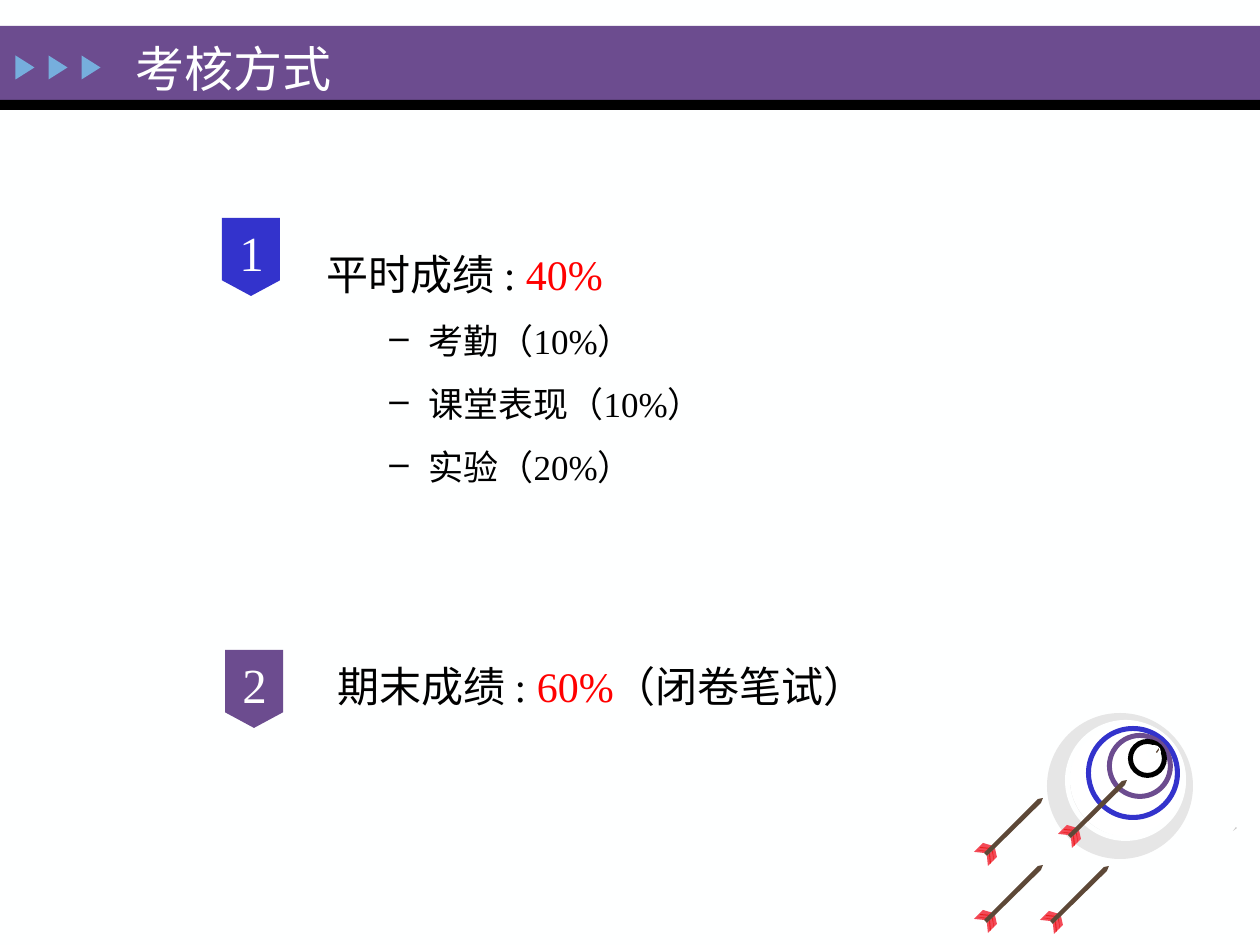
"""Build the course assessment slide: two scored parts and a target with arrows."""
from lxml import etree
from pptx import Presentation
from pptx.dml.color import RGBColor
from pptx.enum.shapes import MSO_SHAPE
from pptx.enum.text import MSO_ANCHOR, PP_ALIGN
from pptx.oxml.ns import qn
from pptx.util import Inches, Pt

RECT, TRIANGLE = MSO_SHAPE.RECTANGLE, MSO_SHAPE.ISOSCELES_TRIANGLE
OVAL, RING = MSO_SHAPE.OVAL, MSO_SHAPE.DONUT
BADGE = MSO_SHAPE.FLOWCHART_OFFPAGE_CONNECTOR
MIDDLE, CENTER = MSO_ANCHOR.MIDDLE, PP_ALIGN.CENTER

PX = 7257
WHITE, BLACK, RED = "FEFFFF", "000000", "FF0000"
PURPLE, BLUE, SKY = "6C4C8F", "3333CC", "76AEDD"
FEATHER, BARB, WOOD = "F34A57", "EA1E1D", "5D4837"


def paint(target, color):
    target.fill.solid()
    target.fill.fore_color.rgb = RGBColor.from_string(color)


def write(paragraph, text, size=24, color=BLACK, spacing=None):
    run = paragraph.add_run()
    run.text = text
    run.font.size = Pt(size)
    run.font.name = "Times New Roman"
    paint(run.font, color)
    if spacing:
        paragraph.line_spacing = spacing


prs = Presentation()
prs.slide_width, prs.slide_height = Inches(10), Inches(7.5)
slide = prs.slides.add_slide(prs.slide_layouts[6])
shapes = slide.shapes
paint(slide.background, WHITE)

for top, height, color in [(26, 75, PURPLE), (100, 10, BLACK)]:
    band = shapes.add_shape(RECT, 0, top * PX, prs.slide_width, height * PX)
    paint(band, color)

for i in range(3):
    marker = shapes.add_shape(TRIANGLE, (13 + 33 * i) * PX, 58 * PX, 24 * PX, 19 * PX)
    marker.rotation = 90
    paint(marker, SKY)

title = shapes.add_textbox(123 * PX, 20 * PX, 882 * PX, 95 * PX).text_frame
title.word_wrap = True
title.vertical_anchor = MIDDLE
write(title.paragraphs[0], "考核方式", size=28, color=WHITE)

coursework = shapes.add_textbox(314 * PX, 217 * PX, 721 * PX, 388 * PX).text_frame
coursework.word_wrap = True
heading = coursework.paragraphs[0]
write(heading, "平时成绩 : ", spacing=1.5)
write(heading, "40%", color=RED)
for item in ["考勤（10%）", "课堂表现（10%）", "实验（20%）"]:
    entry = coursework.add_paragraph()
    entry.level = 1
    props = entry._p.get_or_add_pPr()
    props.set("marL", str(102 * PX))
    props.set("indent", str(-39 * PX))
    etree.SubElement(props, qn("a:buChar")).set("char", "–")
    write(entry, item, size=20, spacing=1.5)

exam = shapes.add_textbox(325 * PX, 660 * PX, 706 * PX, 69 * PX).text_frame
exam.word_wrap = True
result = exam.paragraphs[0]
write(result, "期末成绩 : ", spacing=0.9)
write(result, "60%", color=RED)
write(result, "（闭卷笔试）")

for number, left, top, color in [("1", 222, 218, BLUE), ("2", 225, 650, PURPLE)]:
    badge = shapes.add_shape(BADGE, left * PX, top * PX, 58 * PX, 78 * PX)
    paint(badge, color)
    disc = shapes.add_shape(OVAL, (left - 4) * PX, (top - 5) * PX, 67 * PX, 77 * PX)
    disc.fill.background()
    label = disc.text_frame
    label.margin_left = label.margin_right = label.margin_top = label.margin_bottom = 0
    label.vertical_anchor = MIDDLE
    label.paragraphs[0].alignment = CENTER
    write(label.paragraphs[0], number, size=28, color="FFFFFF")

target_parts = [
    (OVAL, 1047, 713, 146, "E6E6E6"),
    (OVAL, 1070, 721, 116, "FFFFFF"),
    (RING, 1065, 720, 121, WHITE),
    (RING, 1086, 726, 94, BLUE),
    (RING, 1107, 733, 66, PURPLE),
    (RING, 1128, 739, 39, BLACK),
    (OVAL, 1147, 745, 14, WHITE),
]
for kind, left, top, size, color in target_parts:
    part = shapes.add_shape(kind, left * PX, top * PX, size * PX, size * PX)
    if kind == RING:
        part.adjustments[0] = 5 / size
    paint(part, color)

arrow = [
    (FEATHER, [(21, 50), (23, 59), (14, 68), (13, 58)]),
    (FEATHER, [(19, 48), (9, 45), (0, 54), (10, 55)]),
    (BARB, [(19, 53), (20, 62), (20, 63), (18, 53)]),
    (BARB, [(16, 55), (17, 65), (16, 66), (15, 56)]),
    (BARB, [(6, 49), (16, 50), (16, 51), (6, 50)]),
    (BARB, [(4, 52), (14, 53), (13, 54), (3, 52)]),
    (WOOD, [(64, 1), (69, 0), (67, 5), (13, 58), (10, 55)]),
]
splinter = [(WOOD, [(3, 0), (3, 2), (1, 5), (0, 4)])]
speck = [("C9C8C8", [(3, 0), (4, 1), (0, 4)])]
outlines = [(arrow, 974, 798), (arrow, 974, 865), (arrow, 1040, 866),
            (arrow, 1058, 780), (splinter, 1156, 748), (speck, 1233, 827)]
for pieces, left, top in outlines:
    for color, points in pieces:
        builder = shapes.build_freeform(*points[0], scale=PX)
        builder.add_line_segments(points[1:], close=True)
        paint(builder.convert_to_shape(left * PX, top * PX), color)

for shape in shapes:
    shape.line.fill.background()
    shape.shadow.inherit = False

prs.save("out.pptx")
